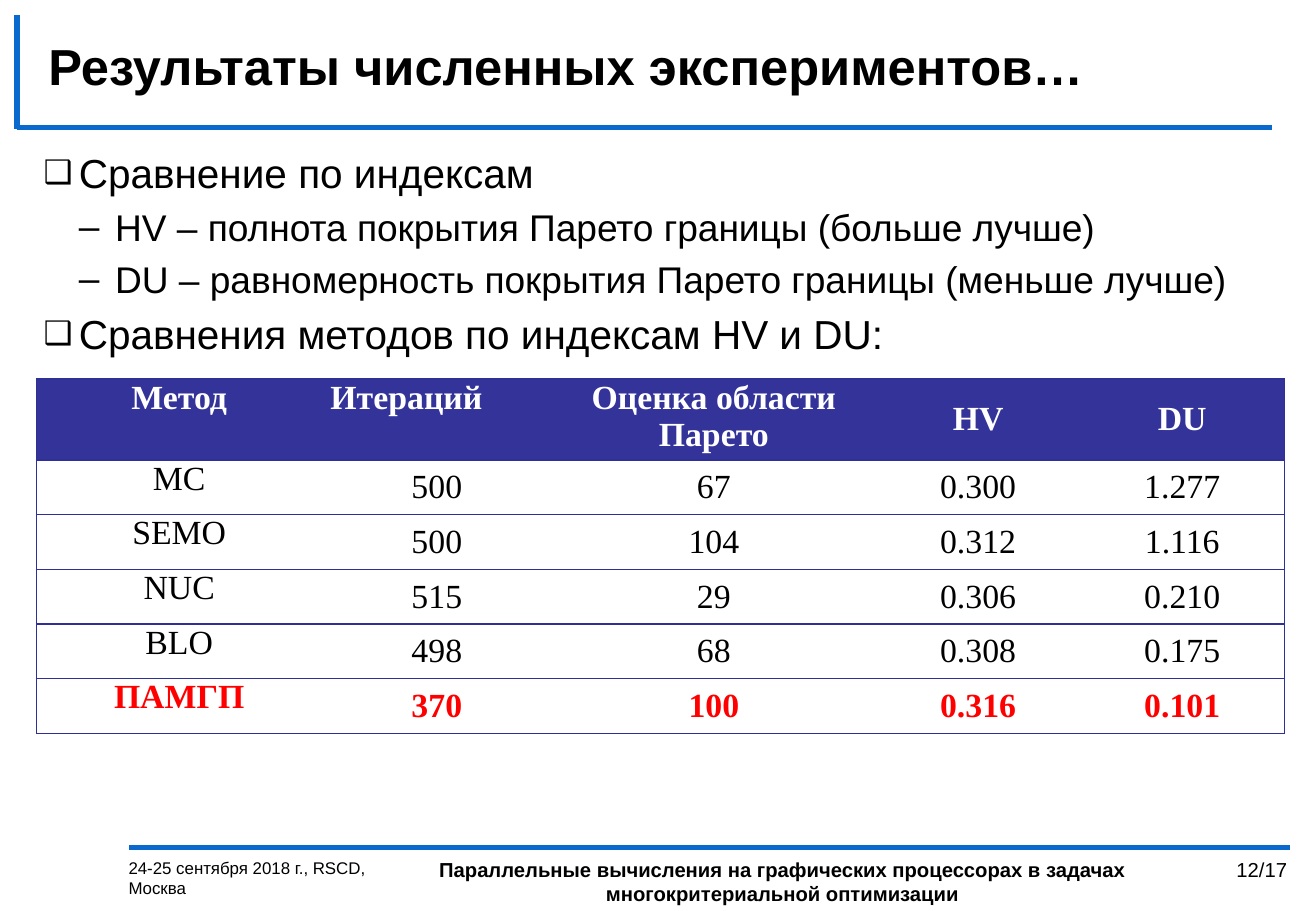
from lxml.etree import SubElement
from pptx import Presentation
from pptx.dml.color import RGBColor
from pptx.enum.shapes import MSO_CONNECTOR
from pptx.enum.text import MSO_ANCHOR, PP_ALIGN
from pptx.oxml.ns import qn
from pptx.util import Inches, Pt

BLACK = RGBColor(0x00, 0x00, 0x00)
WHITE = RGBColor(0xFF, 0xFF, 0xFF)
RED = RGBColor(0xFF, 0x00, 0x00)
BLUE = RGBColor(0x09, 0x69, 0xCD)
HEADER = RGBColor(0x33, 0x33, 0x99)
BORDER = RGBColor(0x2F, 0x2F, 0x98)

BULLETS = [
    (0, "Сравнение по индексам"),
    (1, "HV – полнота покрытия Парето границы (больше лучше)"),
    (1, "DU – равномерность покрытия Парето границы (меньше лучше)"),
    (0, "Сравнения методов по индексам HV и DU:"),
]
LEVELS = [("❑", 0.29, -0.29, 24, 80), ("–", 0.59, -0.3, 22, 100)]
RESULTS = [
    ["Метод", "Итераций", "Оценка области Парето", "HV", "DU"],
    ["MC", "500", "67", "0.300", "1.277"],
    ["SEMO", "500", "104", "0.312", "1.116"],
    ["NUC", "515", "29", "0.306", "0.210"],
    ["BLO", "498", "68", "0.308", "0.175"],
    ["ПАМГП", "370", "100", "0.316", "0.101"],
]
COLUMNS = [2.35, 1.89, 2.67, 1.68, 1.68]


def write(p, text, size=12, font="Arial", color=BLACK, bold=False, align=PP_ALIGN.LEFT):
    p.alignment = align
    r = p.add_run()
    r.text = text
    r.font.size = Pt(size)
    r.font.name = font
    r.font.bold = bold
    r.font.color.rgb = color


class Deck:
    """Holds the accent style and the current slide."""

    def __init__(self, prs):
        self.s = prs.slides.add_slide(prs.slide_layouts[6])
        self.accent, self.weight = BLUE, Pt(3)

    def rule(self, x1, y1, x2, y2):
        ends = [Inches(v) for v in (x1, y1, x2, y2)]
        line = self.s.shapes.add_connector(MSO_CONNECTOR.STRAIGHT, *ends)
        line.line.color.rgb = self.accent
        line.line.width = self.weight
        SubElement(line._element.spPr, qn("a:effectLst"))

    def box(self, x, y, w, h, anchor=MSO_ANCHOR.TOP):
        sp = self.s.shapes.add_textbox(Inches(x), Inches(y), Inches(w), Inches(h))
        tf = sp.text_frame
        tf.word_wrap = True
        tf.vertical_anchor = anchor
        return tf

    def text(self, text, x, y, w, h, anchor=MSO_ANCHOR.TOP, **fmt):
        write(self.box(x, y, w, h, anchor).paragraphs[0], text, **fmt)

    def bullets(self, items, x, y, w, h):
        tf = self.box(x, y, w, h)
        for i, (level, text) in enumerate(items):
            p = tf.add_paragraph() if i else tf.paragraphs[0]
            char, margin, indent, size, scale = LEVELS[level]
            p.level = level
            write(p, text, size=size)
            pPr = p._p.get_or_add_pPr()
            pPr.set("marL", str(Inches(margin)))
            pPr.set("indent", str(Inches(indent)))
            before = SubElement(pPr, qn("a:spcBef"))
            SubElement(before, qn("a:spcPct"), val="20000")
            SubElement(pPr, qn("a:buSzPct"), val=str(scale * 1000))
            SubElement(pPr, qn("a:buFont"), typeface="Arial")
            SubElement(pPr, qn("a:buChar"), char=char)

    def borders(self, cell, shown):
        tcPr = cell._tc.get_or_add_tcPr()
        for side in "LRTB":
            ln = SubElement(tcPr, qn(f"a:ln{side}"), w=str(Pt(0.75)))
            if side in shown:
                fill = SubElement(ln, qn("a:solidFill"))
                SubElement(fill, qn("a:srgbClr"), val=str(BORDER))
            else:
                SubElement(ln, qn("a:noFill"))

    def table(self, rows, widths, x, y, row_height):
        last_row, last_col = len(rows) - 1, len(widths) - 1
        table = self.s.shapes.add_table(
            len(rows), len(widths), Inches(x), Inches(y),
            Inches(sum(widths)), Inches(row_height * len(rows))).table
        table.horz_banding = False
        for column, width in zip(table.columns, widths):
            column.width = Inches(width)
        for i, row in enumerate(rows):
            table.rows[i].height = Inches(row_height)
            color = {0: WHITE, last_row: RED}.get(i, BLACK)
            for j, text in enumerate(row):
                cell = table.cell(i, j)
                cell.margin_left = cell.margin_right = Inches(0.07)
                cell.margin_top = cell.margin_bottom = 0
                at_top = j == 0 or (i == 0 and j < 3)
                cell.vertical_anchor = MSO_ANCHOR.TOP if at_top else MSO_ANCHOR.MIDDLE
                self.borders(cell, "TB" + {0: "L", last_col: "R"}.get(j, ""))
                if i == 0:
                    cell.fill.solid()
                    cell.fill.fore_color.rgb = HEADER
                else:
                    cell.fill.background()
                align = PP_ALIGN.JUSTIFY if (i, j) == (0, 1) else PP_ALIGN.CENTER
                write(cell.text_frame.paragraphs[0], text, size=20, color=color,
                      font="Times New Roman", bold=i in (0, last_row), align=align)


def main():
    prs = Presentation()
    prs.slide_width, prs.slide_height = Inches(10.83), Inches(7.5)
    deck = Deck(prs)
    deck.rule(1.06, 6.98, 10.62, 6.98)
    deck.rule(0.14, 1.05, 10.47, 1.05)
    deck.rule(0.14, 0.12, 0.14, 1.06)
    deck.text("Результаты численных экспериментов…", 0.3, 0.23, 10.35, 0.61,
              anchor=MSO_ANCHOR.MIDDLE, size=30, bold=True)
    deck.bullets(BULLETS, 0.26, 1.17, 10.39, 5.7)
    deck.table(RESULTS, COLUMNS, 0.3, 3.12, 0.45)
    deck.text("24-25 сентября 2018 г., RSCD, Москва", 0.96, 7.01, 2.24, 0.49, size=10)
    deck.text("Параллельные вычисления на графических процессорах в задачах "
              "многокритериальной оптимизации", 3.29, 7.01, 6.3, 0.49,
              bold=True, align=PP_ALIGN.CENTER)
    deck.text("12/17", 9.67, 7.01, 1.02, 0.49, align=PP_ALIGN.RIGHT)
    prs.save("out.pptx")


if __name__ == "__main__":
    main()
